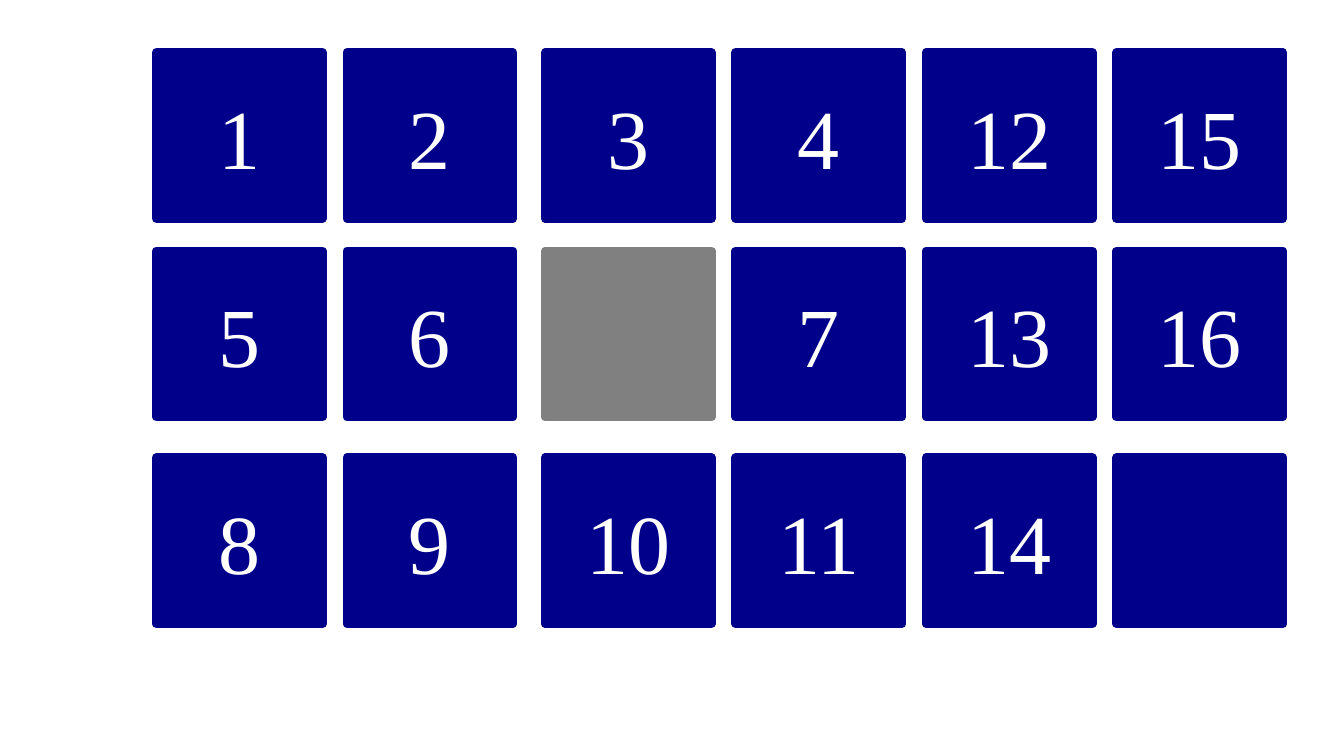
"""Build a slide with a board of numbered square tiles."""
from pptx import Presentation
from pptx.dml.color import RGBColor
from pptx.enum.shapes import MSO_SHAPE
from pptx.enum.text import MSO_ANCHOR, PP_ALIGN
from pptx.util import Cm, Pt

RECTANGLE = MSO_SHAPE.RECTANGLE
MIDDLE = MSO_ANCHOR.MIDDLE
CENTER = PP_ALIGN.CENTER

NAVY = RGBColor(0x00, 0x00, 0x8B)
GRAY = RGBColor(0x80, 0x80, 0x80)
WHITE = RGBColor(0xFF, 0xFF, 0xFF)

TILE_ROWS = [
    ["1", "2", "3", "4", "12", "15"],
    ["5", "6", "", "7", "13", "16"],
    ["8", "9", "10", "11", "14", ""],
]
GRAY_TILE = (1, 2)

TILE_SIZE = 4.19
BOARD_LEFT = 3.94
COLUMN_PITCH = 4.8
CENTER_GAP = 0.2
LEFT_COLUMNS = 2
ROW_TOPS = [1.32, 6.32, 11.53]


def add_tile(page, left, top, label, color):
    """Add one square tile with its centred number."""
    tile = page.shapes.add_shape(
        RECTANGLE, Cm(left), Cm(top), Cm(TILE_SIZE), Cm(TILE_SIZE))
    tile.shadow.inherit = False
    tile.fill.solid()
    tile.fill.fore_color.rgb = color
    tile.line.color.rgb = color
    tile.line.width = Pt(6)
    if label:
        frame = tile.text_frame
        frame.vertical_anchor = MIDDLE
        para = frame.paragraphs[0]
        para.text = label
        para.alignment = CENTER
        para.font.name = "Times New Roman"
        para.font.size = Pt(60)
        para.font.color.rgb = WHITE


def main():
    """Lay out the board and save the deck."""
    deck = Presentation()
    deck.slide_width = Cm(33.87)
    deck.slide_height = Cm(19.05)
    page = deck.slides.add_slide(deck.slide_layouts[6])
    for row, (top, labels) in enumerate(zip(ROW_TOPS, TILE_ROWS)):
        for column, label in enumerate(labels):
            left = BOARD_LEFT + column * COLUMN_PITCH
            if column >= LEFT_COLUMNS:
                left += CENTER_GAP
            color = GRAY if (row, column) == GRAY_TILE else NAVY
            add_tile(page, left, top, label, color)
    deck.save("out.pptx")


if __name__ == "__main__":
    main()
